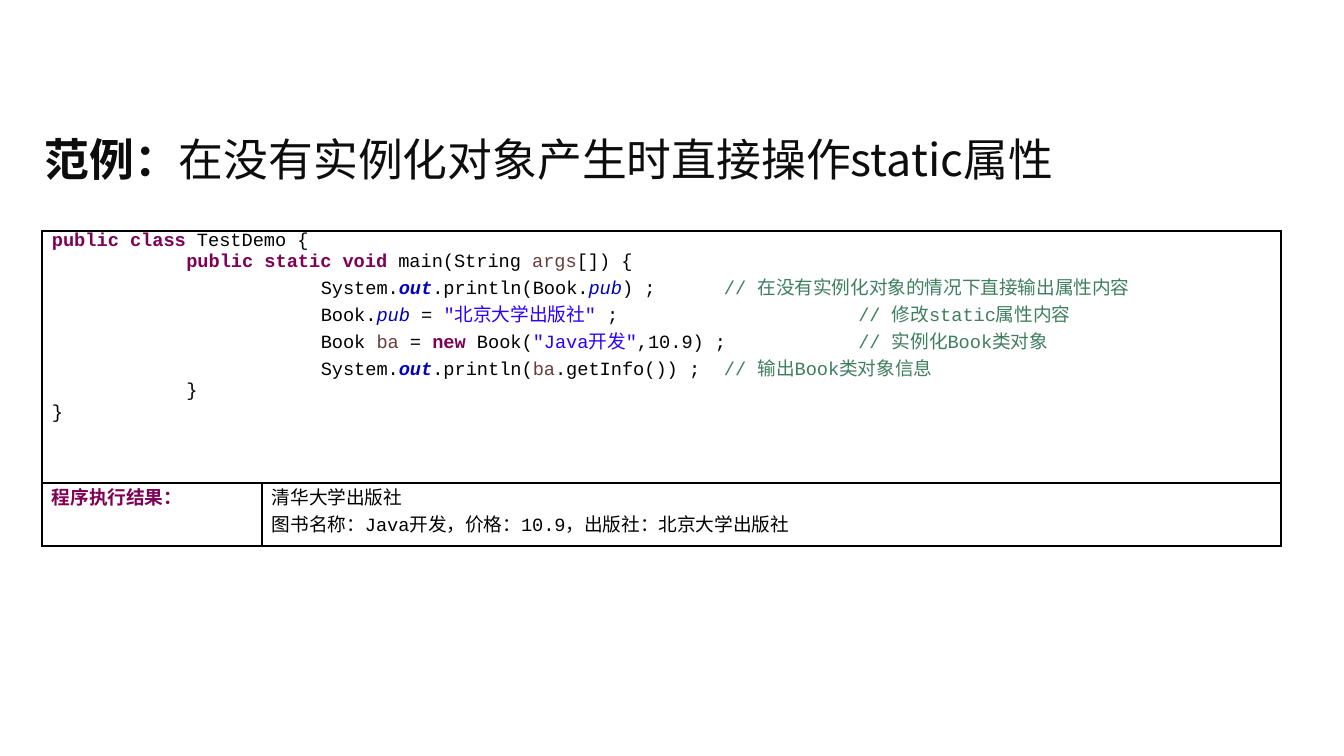
from lxml import etree
from pptx import Presentation
from pptx import util as u
from pptx.dml import color
from pptx.enum import text
from pptx.oxml import ns

SCALE = 914400 / 134.4
SANS, MONO = "Noto Sans CJK SC", "Courier New"
STYLES = {
    "plain": {"color": "000000"},
    "keyword": {"color": "7F0055", "bold": True},
    "param": {"color": "6A3E3E"},
    "field": {"color": "0000C0", "italic": True},
    "static": {"color": "0000C0", "bold": True, "italic": True},
    "string": {"color": "2A00FF"},
    "comment": {"color": "3F7F5F"},
}


def px(n):
    return u.Emu(round(n * SCALE))


def rgb(value):
    return color.RGBColor.from_string(value)


class Deck:
    def __init__(self, width, height):
        self.prs = Presentation()
        self.prs.slide_width, self.prs.slide_height = px(width), px(height)
        self.s = self.prs.slides.add_slide(self.prs.slide_layouts[5])

    def run(self, p, content, size, name, color="000000", bold=False, italic=False):
        r = p.add_run()
        r.text = content
        values = {"size": u.Pt(size), "name": name, "bold": bold, "italic": italic}
        for key, value in values.items():
            setattr(r.font, key, value)
        r.font.color.rgb = rgb(color)
        ea = etree.SubElement(r.font._element, ns.qn("a:ea"))
        ea.set("typeface", SANS)

    def title(self, box, parts):
        sp = self.s.shapes.title
        sp.left, sp.top, sp.width, sp.height = map(px, box)
        tf = sp.text_frame
        values = {"word_wrap": True, "auto_size": text.MSO_AUTO_SIZE.NONE,
                  "vertical_anchor": text.MSO_ANCHOR.MIDDLE}
        for key, value in values.items():
            setattr(tf, key, value)
        p = tf.paragraphs[0]
        p.alignment = text.PP_ALIGN.LEFT
        for content, bold in parts:
            self.run(p, content, 24, SANS, "0D0D0D", bold)

    def table(self, left, top, cols, rows):
        tbl = self.s.shapes.add_table(len(rows), len(cols), px(left), px(top),
                                      px(sum(cols)), px(sum(rows))).table
        tbl.first_row = tbl.horz_banding = False
        for col, width in zip(tbl.columns, cols):
            col.width = px(width)
        for row, height in zip(tbl.rows, rows):
            row.height = px(height)
        for cell in tbl.iter_cells():
            self.frame(cell)
        return tbl

    def frame(self, cell):
        values = {"margin_left": px(10), "margin_right": px(10),
                  "margin_top": 0, "margin_bottom": 0}
        for key, value in values.items():
            setattr(cell, key, value)
        cell.fill.background()
        tcPr = cell._tc.get_or_add_tcPr()
        for i, side in enumerate("LRTB"):
            ln = etree.Element(ns.qn(f"a:ln{side}"), w=str(u.Pt(1)))
            fill = etree.SubElement(ln, ns.qn("a:solidFill"))
            etree.SubElement(fill, ns.qn("a:srgbClr"), val="000000")
            tcPr.insert(i, ln)

    def tabs(self, p, count):
        tabs = etree.SubElement(p._p.get_or_add_pPr(), ns.qn("a:tabLst"))
        for n in range(1, count + 1):
            etree.SubElement(tabs, ns.qn("a:tab"), pos=str(u.Inches(n)), algn="l")

    def lines(self, cell, lines):
        tf = cell.text_frame
        for i, line in enumerate(lines):
            p = tf.add_paragraph() if i else tf.paragraphs[0]
            if any("\t" in content for _, content in line):
                self.tabs(p, 8)
            for style, content in line:
                self.run(p, content, 10, MONO, **STYLES[style])


CODE = [
    [("keyword", "public class "), ("plain", "TestDemo {")],
    [("plain", "\t"), ("keyword", "public static void"), ("plain", " main(String "),
     ("param", "args"), ("plain", "[]) {")],
    [("plain", "\t\tSystem."), ("static", "out"), ("plain", ".println(Book."),
     ("field", "pub"), ("plain", ") ;\t"),
     ("comment", "// 在没有实例化对象的情况下直接输出属性内容")],
    [("plain", "\t\tBook."), ("field", "pub"), ("plain", " = "),
     ("string", '"北京大学出版社"'), ("plain", " ;\t\t"),
     ("comment", "// 修改static属性内容")],
    [("plain", "\t\tBook "), ("param", "ba"), ("plain", " = "), ("keyword", "new"),
     ("plain", " Book("), ("string", '"Java开发"'), ("plain", ",10.9) ;\t"),
     ("comment", "// 实例化Book类对象")],
    [("plain", "\t\tSystem."), ("static", "out"), ("plain", ".println("),
     ("param", "ba"), ("plain", ".getInfo()) ;\t"),
     ("comment", "// 输出Book类对象信息")],
    [("plain", "\t}")],
    [("plain", "}")],
]
RESULT = [
    [("plain", "清华大学出版社")],
    [("plain", "图书名称：Java开发，价格：10.9，出版社：北京大学出版社")],
]


def main():
    deck = Deck(1344, 756)
    deck.title((31, 116, 1281, 86),
               [("范例：", True), ("在没有实例化对象产生时直接操作static属性", False)])
    tbl = deck.table(42, 231, (220, 1019), (252, 63))
    tbl.cell(0, 0).merge(tbl.cell(0, 1))
    deck.lines(tbl.cell(0, 0), CODE)
    deck.lines(tbl.cell(1, 0), [[("keyword", "程序执行结果：")]])
    deck.lines(tbl.cell(1, 1), RESULT)
    deck.prs.save("out.pptx")


if __name__ == "__main__":
    main()
